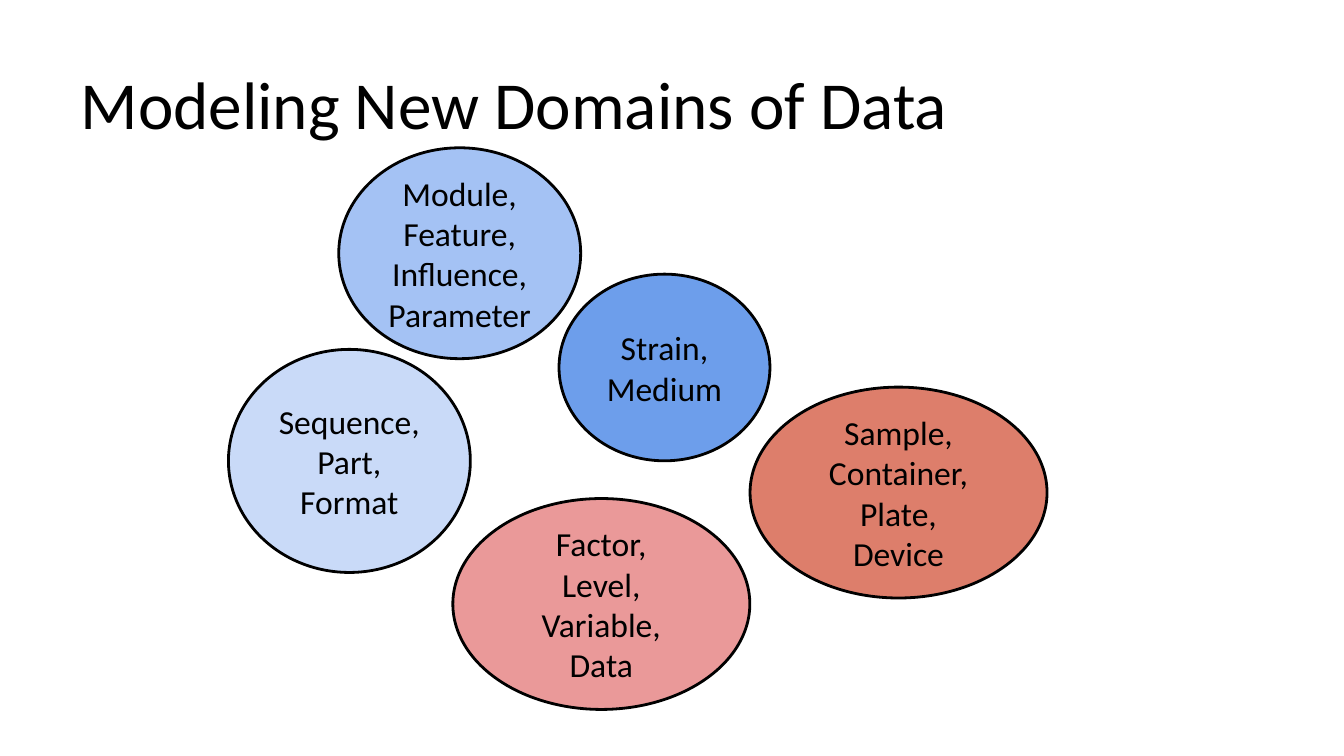
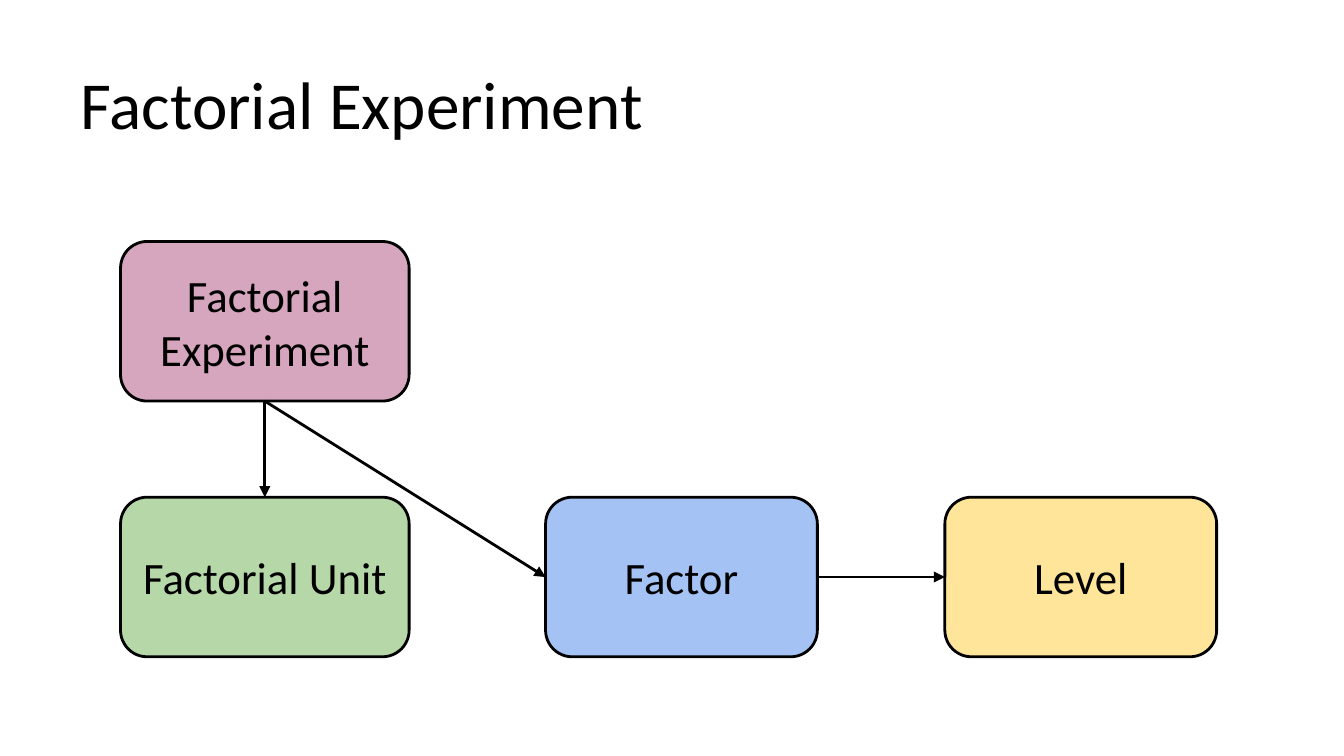
"""Build two slides on modeling domains of data and factorial experiments."""
from pptx import Presentation
from pptx.dml.color import RGBColor
from pptx.enum.shapes import MSO_CONNECTOR, MSO_SHAPE
from pptx.enum.text import MSO_ANCHOR, MSO_AUTO_SIZE, PP_ALIGN
from pptx.oxml.ns import qn
from pptx.util import Pt
from lxml import etree

OVAL, ROUNDED = MSO_SHAPE.OVAL, MSO_SHAPE.ROUNDED_RECTANGLE
STRAIGHT = MSO_CONNECTOR.STRAIGHT
BOTTOM_ANCHOR, MIDDLE_ANCHOR = MSO_ANCHOR.BOTTOM, MSO_ANCHOR.MIDDLE
NO_FIT = MSO_AUTO_SIZE.NONE
LEFT_ALIGN, CENTER_ALIGN = PP_ALIGN.LEFT, PP_ALIGN.CENTER
TOP, LEFT, BOTTOM, RIGHT = range(4)
TITLE_ONLY = 5

FONT = "Calibri"
INSET = 7.2
LINE_WIDTH = 1.5
COLORS = {
    "black": "000000",
    "white": "FFFFFF",
    "pale blue": "C9DAF8",
    "light blue": "A4C2F4",
    "blue": "6D9EEB",
    "pink": "EA9999",
    "red": "DD7E6B",
    "mauve": "D5A6BD",
    "green": "B6D7A8",
    "yellow": "FFE599",
}

DOMAINS = [
    ("Module, Feature, Influence, Parameter", "light blue", (181.5, 79.2, 129.6, 113)),
    ("Strain, Medium", "blue", (299.5, 146.9, 113, 100)),
    ("Sequence, Part, Format", "pale blue", (122.4, 187.2, 129.6, 119.5)),
    ("Factor,\nLevel,\nVariable,\nData", "pink", (242.6, 267.1, 159.1, 113)),
    ("Sample, Container, Plate,\nDevice", "red", (401.8, 207.4, 159.1, 113)),
]

ROW_TOPS = (129.4, 266.4)
BOX_HEIGHT = 85.5
COLUMNS = ((64.6, 154.6), (292.3, 145.6), (506.2, 145.6))
ENTITIES = [
    ("Factorial Experiment", "mauve", 0, 0),
    ("Factorial Unit", "green", 0, 1),
    ("Factor", "light blue", 1, 1),
    ("Level", "yellow", 2, 1),
]
LINKS = [
    ("Factorial Experiment", BOTTOM, "Factor", LEFT),
    ("Factor", RIGHT, "Level", LEFT),
    ("Factorial Experiment", BOTTOM, "Factorial Unit", TOP),
]


def color(name):
    """Return the named colour."""
    return RGBColor.from_string(COLORS[name])


def write_text(shape, text, size, alignment, anchor):
    """Fill a shape with uniformly formatted paragraphs."""
    frame = shape.text_frame
    frame.text = text
    frame.word_wrap = True
    frame.auto_size = NO_FIT
    frame.vertical_anchor = anchor
    frame.margin_left = frame.margin_right = Pt(INSET)
    frame.margin_top = frame.margin_bottom = Pt(INSET)
    for paragraph in frame.paragraphs:
        paragraph.alignment = alignment
        paragraph.font.name = FONT
        paragraph.font.size = Pt(size)
        paragraph.font.color.rgb = color("black")


def add_page(deck, title):
    """Add a white slide with a title."""
    page = deck.slides.add_slide(deck.slide_layouts[TITLE_ONLY])
    page.background.fill.solid()
    page.background.fill.fore_color.rgb = color("white")
    box = page.shapes.title
    box.left, box.top, box.width, box.height = map(Pt, (36, 16.3, 648, 67.5))
    write_text(box, title, 36, LEFT_ALIGN, BOTTOM_ANCHOR)
    return page


def outline(shape):
    """Give a shape or connector the shared black line."""
    shape.line.color.rgb = color("black")
    shape.line.width = Pt(LINE_WIDTH)


def add_node(page, kind, text, fill, place, size):
    """Add a filled, outlined and labelled shape."""
    node = page.shapes.add_shape(kind, *map(Pt, place))
    node.shadow.inherit = False
    node.fill.solid()
    node.fill.fore_color.rgb = color(fill)
    outline(node)
    write_text(node, text, size, CENTER_ALIGN, MIDDLE_ANCHOR)
    return node


def add_arrow(page, source, source_side, target, target_side):
    """Connect two nodes with a straight arrow."""
    arrow = page.shapes.add_connector(STRAIGHT, 0, 0, 0, 0)
    arrow.begin_connect(source, source_side)
    arrow.end_connect(target, target_side)
    outline(arrow)
    etree.SubElement(arrow.line._get_or_add_ln(), qn("a:tailEnd"), type="triangle")
    etree.SubElement(arrow._element.spPr, qn("a:effectLst"))


def add_domains_page(deck):
    """Build the slide of data domains."""
    page = add_page(deck, "Modeling New Domains of Data")
    for text, fill, place in DOMAINS:
        add_node(page, OVAL, text, fill, place, 18)


def add_experiment_page(deck):
    """Build the slide of factorial experiment entities."""
    page = add_page(deck, "Factorial Experiment")
    nodes = {}
    for text, fill, column, row in ENTITIES:
        left, width = COLUMNS[column]
        place = (left, ROW_TOPS[row], width, BOX_HEIGHT)
        nodes[text] = add_node(page, ROUNDED, text, fill, place, 24)
    for source, source_side, target, target_side in LINKS:
        add_arrow(page, nodes[source], source_side, nodes[target], target_side)


def main():
    """Create and save the deck."""
    deck = Presentation()
    deck.slide_width, deck.slide_height = Pt(720), Pt(405)
    add_domains_page(deck)
    add_experiment_page(deck)
    deck.save("out.pptx")


main()
